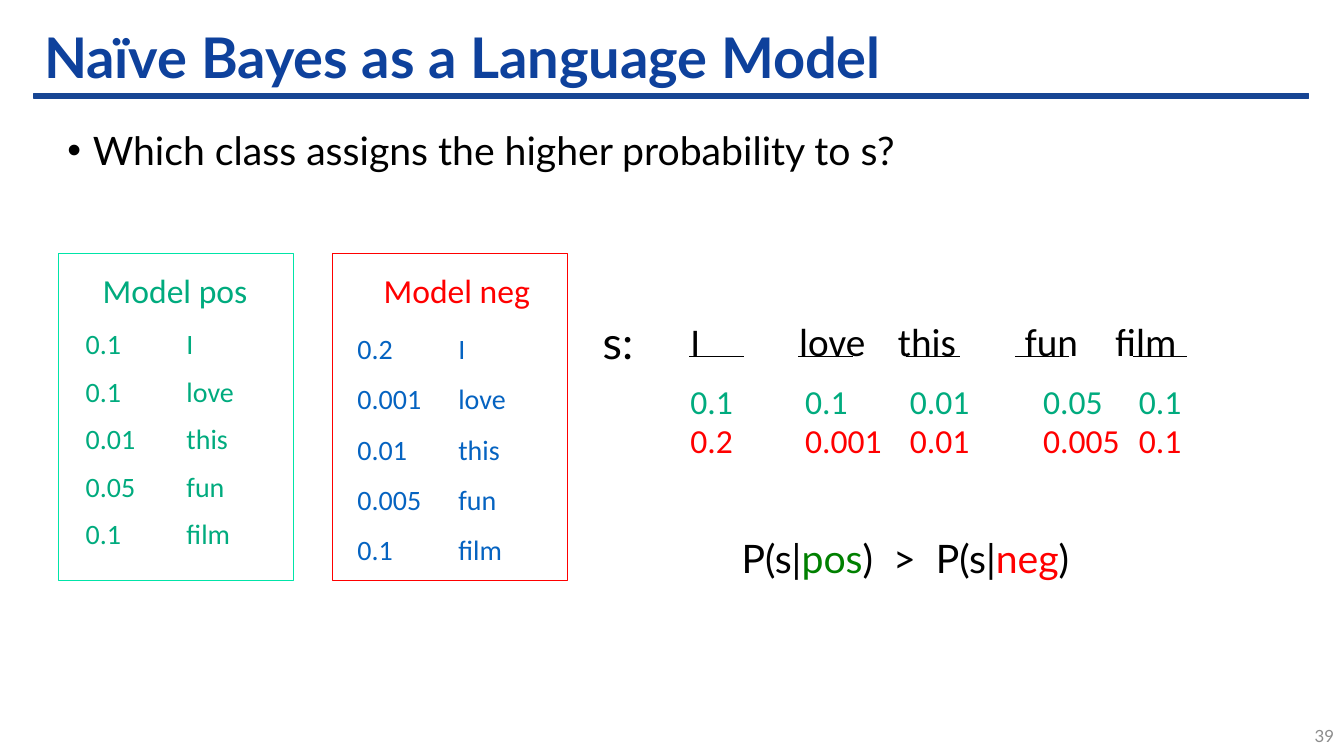
from dataclasses import dataclass

import pptx
import pptx.dml.color
import pptx.enum.shapes
import pptx.enum.text
import pptx.oxml.ns
import pptx.util
from lxml import etree

Cm = pptx.util.Cm
Pt = pptx.util.Pt
RGBColor = pptx.dml.color.RGBColor
Anchor = pptx.enum.text.MSO_ANCHOR
Align = pptx.enum.text.PP_ALIGN
qn = pptx.oxml.ns.qn

NAVY = RGBColor(0x0E, 0x41, 0x9C)
BAR = RGBColor(0x17, 0x45, 0x93)
BLACK = RGBColor(0, 0, 0)
GRAY = RGBColor(0x8C, 0x8C, 0x8C)
TEAL = RGBColor(0x00, 0xAB, 0x7E)
MINT = RGBColor(0x00, 0xE4, 0xA8)
RED = RGBColor(0xFF, 0, 0)
GREEN = RGBColor(0, 0x80, 0)
BLUE = RGBColor(0x05, 0x63, 0xC1)


@dataclass
class Box:
    left: float
    top: float
    width: float
    height: float


@dataclass
class Style:
    size: int
    color: RGBColor = BLACK
    face: str = "Calibri"
    bold: bool = False


@dataclass
class Word:
    text: str
    pos: str
    neg: str
    left: float
    width: float
    dash: float
    score: float
    span: float


@dataclass
class Model:
    name: str
    ink: RGBColor
    edge: RGBColor
    frame: float
    head: float
    body: Box
    list_ink: RGBColor
    row: float
    before: int
    leading: float


WORDS = [
    Word("I", "0.1", "0.2", 17.15, 2.97, 17.37, 17.15, 2.41),
    Word("love", "0.1", "0.001", 19.89, 2.97, 20.12, 20.04, 2.64),
    Word("this", "0.01", "0.01", 22.38, 2.97, 22.83, 22.68, 2.9),
    Word("fun", "0.05", "0.005", 25.58, 2.29, 25.58, 26.04, 2.9),
    Word("film", "0.1", "0.1", 27.86, 4.11, 28.55, 28.45, 4.32),
]

MODELS = [
    Model("pos", TEAL, MINT, 1.47, 2.34, Box(1.91, 8.1, 6.78, 6.25),
          TEAL, 9.47, 10, 1.0),
    Model("neg", RED, RED, 8.38, 9.42, Box(8.76, 7.8, 4.29, 6.6),
          BLUE, 10.46, 0, 1.5),
]


def add_text(slide, box: Box, lines: list[str], style: Style,
             anchor=Anchor.TOP):
    shape = slide.shapes.add_textbox(
        Cm(box.left), Cm(box.top), Cm(box.width), Cm(box.height))
    frame = shape.text_frame
    frame.word_wrap = True
    frame.vertical_anchor = anchor
    frame.text = "\n".join(lines)
    for para in frame.paragraphs:
        font = para.font
        font.name = style.face
        font.size = Pt(style.size)
        font.bold = style.bold
        font.color.rgb = style.color
    return frame


def add_rect(slide, box: Box, edge: RGBColor, weight: float,
             fill: RGBColor | None = None) -> None:
    shape = slide.shapes.add_shape(
        pptx.enum.shapes.MSO_SHAPE.RECTANGLE,
        Cm(box.left), Cm(box.top), Cm(box.width), Cm(box.height))
    shape.shadow.inherit = False
    shape.line.color.rgb = edge
    shape.line.width = Pt(weight)
    if fill is None:
        shape.fill.background()
    else:
        shape.fill.solid()
        shape.fill.fore_color.rgb = fill


def add_dash(slide, left: float, top: float, length: float) -> None:
    line = slide.shapes.add_connector(
        pptx.enum.shapes.MSO_CONNECTOR.STRAIGHT,
        Cm(left), Cm(top), Cm(left + length), Cm(top))
    line.line.color.rgb = BLACK
    line.line.width = Pt(0.75)
    etree.SubElement(line._element.spPr, qn("a:effectLst"))


def add_prop(para, tag: str, **attrs: str):
    props = para._p.get_or_add_pPr()
    item = etree.Element(qn(tag), attrs)
    props.find(qn("a:defRPr")).addprevious(item)
    return item


def add_model(slide, model: Model) -> None:
    add_rect(slide, Box(model.frame, 6.38, 5.92, 8.26), model.edge, 0.75)
    add_text(slide, Box(model.head, 6.68, 4.45, 1.27),
             [f"Model {model.name}"], Style(24, model.ink))
    rows = [f"{getattr(word, model.name)}\t{word.text}" for word in WORDS]
    frame = add_text(slide, model.body, rows, Style(20, model.list_ink))
    for para in frame.paragraphs:
        para.space_before = Pt(model.before)
        para.line_spacing = model.leading
        tabs = add_prop(para, "a:tabLst")
        etree.SubElement(tabs, qn("a:tab"), pos=str(Cm(2.54)), algn="l")


def add_word(slide, word: Word) -> None:
    add_text(slide, Box(word.left, 7.87, word.width, 1.45),
             [word.text], Style(28))
    add_dash(slide, word.dash, 8.99, 1.37)
    for top, score, ink in ((9.47, word.pos, TEAL), (10.46, word.neg, RED)):
        add_text(slide, Box(word.score, top, word.span, 1.3),
                 [score], Style(24, ink))


def add_claim(slide) -> None:
    frame = add_text(slide, Box(18.44, 13.34, 10.64, 1.45), [""],
                     Style(28, BLACK, "Lato"))
    para = frame.paragraphs[0]
    for text, ink in (("P(s|", BLACK), ("pos", GREEN), (")  >  P(s|", BLACK),
                      ("neg", RED), (")", BLACK)):
        run = para.add_run()
        run.text = text
        run.font.color.rgb = ink


def main() -> None:
    deck = pptx.Presentation()
    deck.slide_width, deck.slide_height = Cm(33.87), Cm(19.05)
    slide = deck.slides.add_slide(deck.slide_layouts[6])

    add_rect(slide, Box(0.86, 2.36, 32.11, 0.13), BAR, 1, BAR)
    title = add_text(slide, Box(0.86, 0.66, 32.11, 1.7),
                     ["Naïve Bayes as a Language Model"],
                     Style(40, NAVY, "Lato", True), Anchor.MIDDLE)
    title.paragraphs[0].line_spacing = 0.9

    query = add_text(slide, Box(1.45, 3.07, 30.73, 1.5),
                     ["Which class assigns the higher probability to s?"],
                     Style(28, BLACK, "Lato")).paragraphs[0]
    add_prop(query, "a:buFont", typeface="Arial")
    add_prop(query, "a:buChar", char="•")
    props = query._p.get_or_add_pPr()
    props.set("marL", str(Cm(0.64)))
    props.set("indent", str(Cm(-0.64)))

    page = add_text(slide, Box(32.18, 18.03, 1.69, 1.02), ["39"],
                    Style(12, GRAY, "Lato"), Anchor.MIDDLE)
    page.paragraphs[0].alignment = Align.RIGHT

    for model in MODELS:
        add_model(slide, model)
    add_text(slide, Box(14.94, 7.8, 1.73, 1.63), ["s:"],
             Style(32, BLACK, "Lato"))
    for word in WORDS:
        add_word(slide, word)
    add_claim(slide)
    deck.save("out.pptx")


if __name__ == "__main__":
    main()
